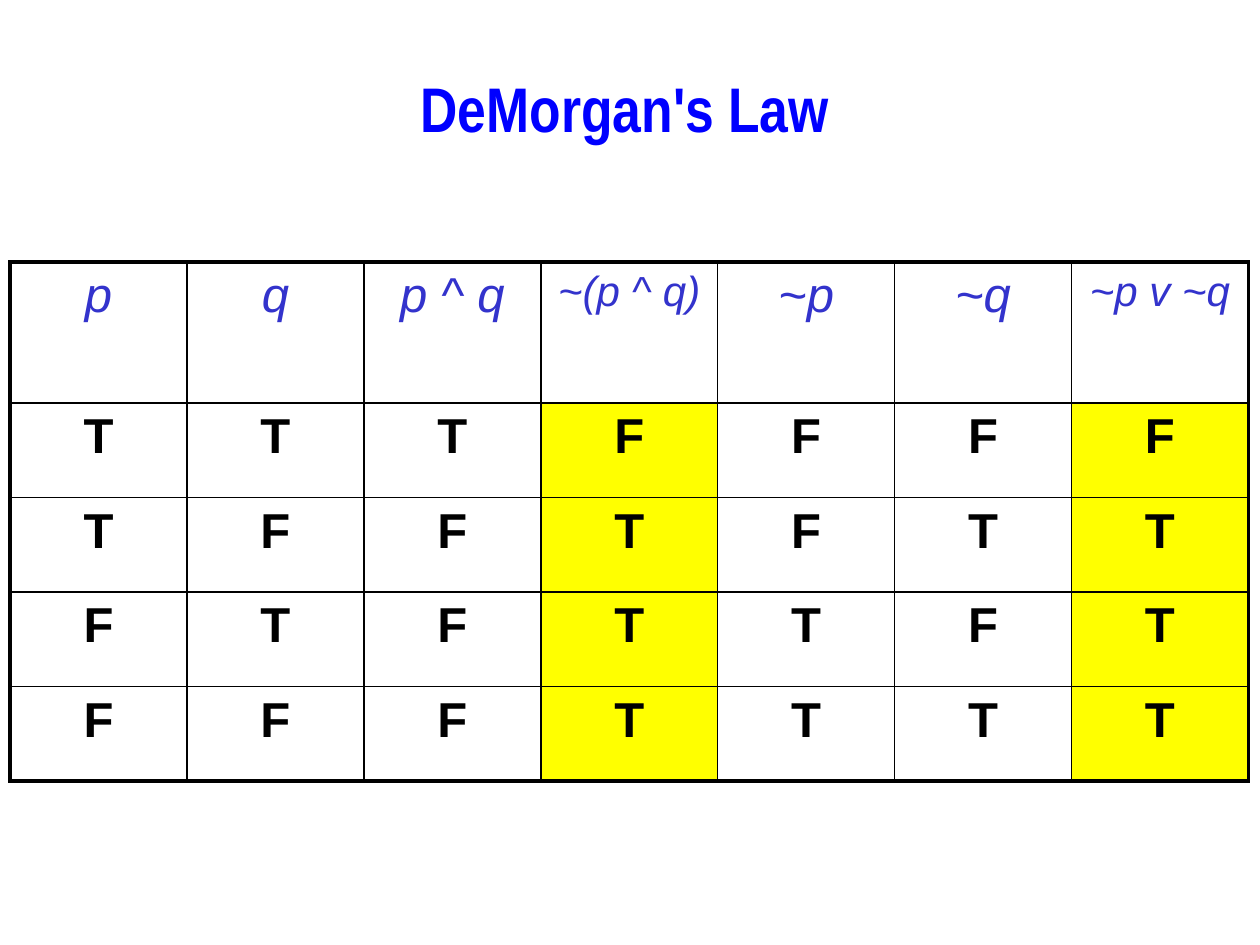
from dataclasses import dataclass

from lxml.etree import SubElement
from pptx import Presentation
from pptx.dml.color import RGBColor
from pptx.enum.text import MSO_ANCHOR, MSO_AUTO_SIZE, PP_ALIGN
from pptx.oxml.ns import qn
from pptx.slide import Slide
from pptx.table import _Cell
from pptx.text.text import TextFrame
from pptx.util import Inches, Pt


@dataclass(frozen=True)
class Theme:
    title_color: str = "0000FF"
    header_color: str = "3333CC"
    ink: str = "000000"
    highlight: str = "FFFF00"
    title_font: str = "Arial Narrow"
    table_font: str = "Arial"
    title_size: float = 36
    cell_size: float = 28
    long_header_size: float = 24
    inner_line: float = 1
    outer_line: float = 2.25


@dataclass(frozen=True)
class TextStyle:
    font: str
    size: float
    color: str
    bold: bool = False
    italic: bool = False


@dataclass(frozen=True)
class Column:
    header: str
    values: str
    conclusion: bool = False


THEME = Theme()
COLUMNS = [
    Column("p", "TTFF"),
    Column("q", "TFTF"),
    Column("p ^ q", "TFFF"),
    Column("~(p ^ q)", "FTTT", True),
    Column("~p", "FFTT"),
    Column("~q", "FTFT"),
    Column("~p v ~q", "FTTT", True),
]
HEADER_HEIGHT = 1.12
ROW_HEIGHT = 0.75
TABLE_WIDTH = 9.83


def write_centered(text_frame: TextFrame, text: str, style: TextStyle) -> None:
    paragraph = text_frame.paragraphs[0]
    paragraph.alignment = PP_ALIGN.CENTER
    paragraph.space_before = Pt(0)
    run = paragraph.add_run()
    run.text = text
    run.font.name = style.font
    run.font.size = Pt(style.size)
    run.font.bold = style.bold
    run.font.italic = style.italic
    run.font.color.rgb = RGBColor.from_string(style.color)


def add_border(cell: _Cell, side: str, width: float) -> None:
    properties = cell._tc.get_or_add_tcPr()
    line = SubElement(properties, qn(f"a:{side}"), w=str(Pt(width)))
    fill = SubElement(line, qn("a:solidFill"))
    SubElement(fill, qn("a:srgbClr"), val=THEME.ink)


def draw_title(slide: Slide, text: str) -> None:
    title = slide.shapes.title
    title.left, title.top = Inches(1.17), Inches(0.5)
    title.width, title.height = Inches(7.58), Inches(1.17)
    text_frame = title.text_frame
    text_frame.word_wrap = False
    text_frame.auto_size = MSO_AUTO_SIZE.NONE
    text_frame.vertical_anchor = MSO_ANCHOR.TOP
    style = TextStyle(THEME.title_font, THEME.title_size, THEME.title_color, bold=True)
    write_centered(text_frame, text, style)


def draw_truth_table(slide: Slide, columns: list[Column]) -> None:
    row_count = len(columns[0].values) + 1
    table_height = HEADER_HEIGHT + ROW_HEIGHT * (row_count - 1)
    table = slide.shapes.add_table(
        row_count, len(columns), Inches(0.08), Inches(2.08),
        Inches(TABLE_WIDTH), Inches(table_height),
    ).table
    table.first_row = False
    table.horz_banding = False
    for row_index, row in enumerate(table.rows):
        row.height = Inches(ROW_HEIGHT if row_index else HEADER_HEIGHT)

    value_style = TextStyle(THEME.table_font, THEME.cell_size, THEME.ink, bold=True)
    for column_index, column in enumerate(columns):
        table.columns[column_index].width = Inches(TABLE_WIDTH / len(columns))
        header_size = THEME.long_header_size if column.conclusion else THEME.cell_size
        header_style = TextStyle(
            THEME.table_font, header_size, THEME.header_color, italic=True
        )
        for row_index, text in enumerate([column.header, *column.values]):
            cell = table.cell(row_index, column_index)
            outer_sides = {
                "lnL": column_index == 0,
                "lnR": column_index == len(columns) - 1,
                "lnT": row_index == 0,
                "lnB": row_index == row_count - 1,
            }
            for side, is_outer in outer_sides.items():
                add_border(cell, side, THEME.outer_line if is_outer else THEME.inner_line)
            if row_index and column.conclusion:
                cell.fill.solid()
                cell.fill.fore_color.rgb = RGBColor.from_string(THEME.highlight)
            else:
                cell.fill.background()
            write_centered(
                cell.text_frame, text, value_style if row_index else header_style
            )


def main() -> None:
    presentation = Presentation()
    presentation.slide_width = Inches(10)
    presentation.slide_height = Inches(7.5)
    slide = presentation.slides.add_slide(presentation.slide_layouts[5])
    draw_title(slide, "DeMorgan's Law")
    draw_truth_table(slide, COLUMNS)
    presentation.save("out.pptx")


if __name__ == "__main__":
    main()
